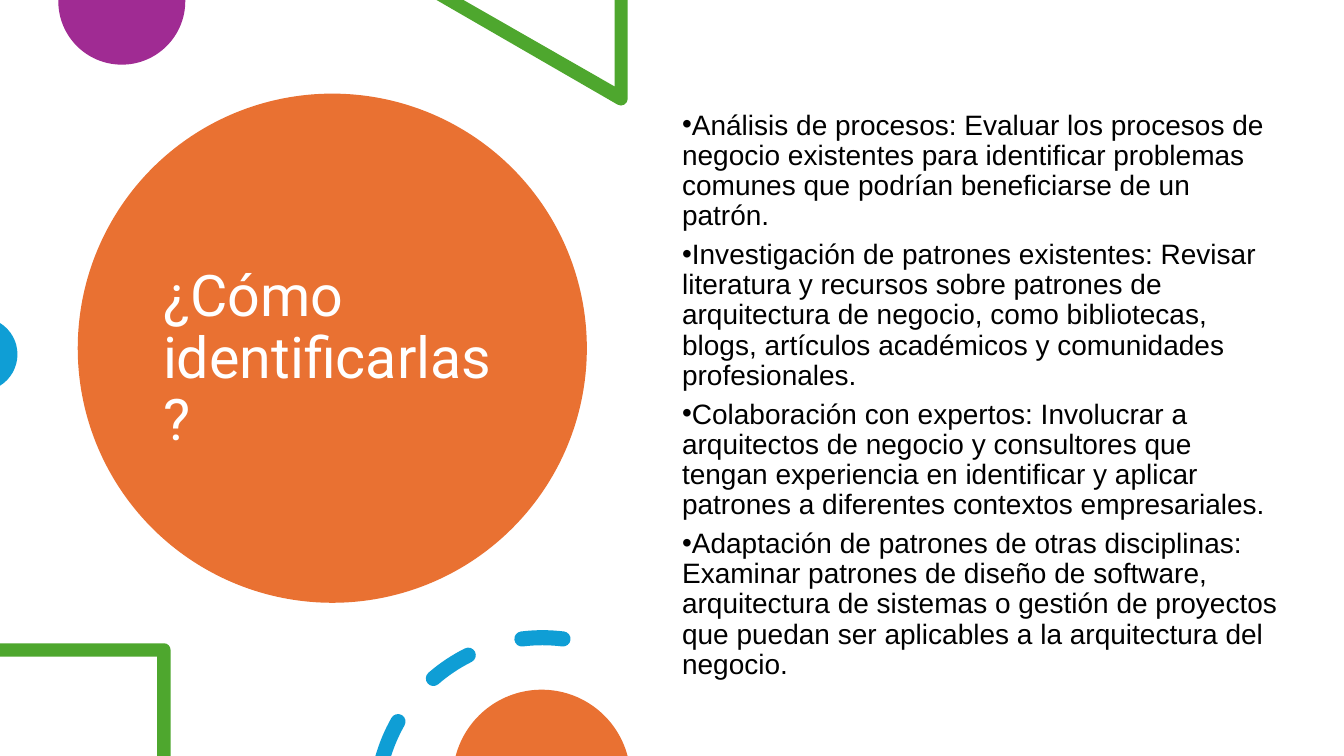
"""Build a slide on how to identify business architecture patterns."""
from math import cos, radians, sin, tan

from lxml import etree
from pptx import Presentation
from pptx import util as u
from pptx.dml.color import RGBColor
from pptx.enum import shapes, text
from pptx.oxml.ns import qn

ORANGE, PURPLE, GREEN, BLUE = "E97132", "A02B93", "4EA72E", "0F9ED5"


def paint(fill, colour):
    fill.solid()
    fill.fore_color.rgb = RGBColor.from_string(colour)


def arc(x, y, radius, start, end, pieces=1):
    sweep = radians(end - start) / pieces
    pull = 4 / 3 * tan(sweep / 4)
    steps = [(x + radius * cos(radians(start)), y + radius * sin(radians(start)))]
    for piece in range(pieces):
        a = radians(start) + piece * sweep
        b = a + sweep
        steps.append((x + radius * (cos(a) - pull * sin(a)), y + radius * (sin(a) + pull * cos(a)),
                      x + radius * (cos(b) + pull * sin(b)), y + radius * (sin(b) - pull * cos(b)),
                      x + radius * cos(b), y + radius * sin(b)))
    return steps


deck = Presentation()
deck.slide_width, deck.slide_height = u.Cm(33.87), u.Cm(19.05)
page = deck.slides.add_slide(deck.slide_layouts[6])

disc = page.shapes.add_shape(shapes.MSO_SHAPE.OVAL, u.Cm(1.96), u.Cm(2.36), u.Cm(12.83), u.Cm(12.83))
disc.shadow.inherit = False
disc.line.fill.background()
paint(disc.fill, ORANGE)

ring_x, ring_y, ring_radius, half_width = 13.67, 20.26, 4.19, 0.19
outer, inner = ring_radius + half_width, ring_radius - half_width
dashes = []
for start, end, inner_start in [(196.04, 209.7, 197.6), (229, 243.5, 229), (262.9, 277.1, 262.9)]:
    head_x, head_y = arc(ring_x, ring_y, ring_radius, end, end)[0]
    tail_x, tail_y = arc(ring_x, ring_y, ring_radius, start, start)[0]
    dash = arc(ring_x, ring_y, outer, start, end)
    dash += arc(head_x, head_y, half_width, end, end + 180, 2)[1:]
    dash += arc(ring_x, ring_y, inner, end, inner_start)[1:]
    if start == inner_start:
        dash += arc(tail_x, tail_y, half_width, start + 180, start + 360, 2)[1:]
    dashes.append(dash)

triangle = [(15.82, 0), (15.49, 0), (15.49, 2.18), (11.68, 0), (11, 0)]
triangle += arc(15.65, 2.49, 0.17, 120, 0, 2)
corner = [(0, 16.21)] + arc(4.13, 16.38, 0.17, -90, 0)
corner += [(4.3, 19.05), (3.96, 19.05), (3.96, 16.55), (0, 16.55)]

decorations = [
    (PURPLE, [[(4.67, 0), (1.47, 0)] + arc(3.07, 0.03, 1.6, 180, 0, 2)]),
    (GREEN, [triangle]),
    (BLUE, [arc(-0.49, 8.93, 0.93, -58, 58, 2)]),
    (GREEN, [corner]),
    (BLUE, dashes),
    (ORANGE, [arc(13.65, 19.62, 2.24, 194.7, 345.3, 2)]),
]
for colour, outlines in decorations:
    builder = None
    for outline in outlines:
        points = [(u.Cm(step[i]), u.Cm(step[i + 1])) for step in outline for i in range(0, len(step), 2)]
        if builder is None:
            builder = page.shapes.build_freeform(*points[0])
        else:
            builder.move_to(*points[0])
        builder.add_line_segments(points[1:], close=True)
    decoration = builder.convert_to_shape()
    decoration.shadow.inherit = False
    decoration.line.fill.background()
    paint(decoration.fill, colour)
    nodes = iter(list(decoration._element.iter(qn("a:lnTo"))))
    for outline in outlines:
        for step in outline[1:]:
            curve, *controls = [next(nodes) for _ in range(len(step) // 2)]
            if controls:
                curve.tag = qn("a:cubicBezTo")
            for control in controls:
                curve.append(control[0])
                control.getparent().remove(control)

tips = [
    "Análisis de procesos: Evaluar los procesos de negocio existentes para identificar problemas comunes que podrían beneficiarse de un patrón.",
    "Investigación de patrones existentes: Revisar literatura y recursos sobre patrones de arquitectura de negocio, como bibliotecas, blogs, artículos académicos y comunidades profesionales.",
    "Colaboración con expertos: Involucrar a arquitectos de negocio y consultores que tengan experiencia en identificar y aplicar patrones a diferentes contextos empresariales.",
    "Adaptación de patrones de otras disciplinas: Examinar patrones de diseño de software, arquitectura de sistemas o gestión de proyectos que puedan ser aplicables a la arquitectura del negocio.",
]
blocks = [
    ((3.86, 3.43, 8.99, 11.3), ["¿Cómo identificarlas?"], text.MSO_ANCHOR.MIDDLE,
     {"name": "Roboto", "size": u.Pt(41)}, "FFFFFF", {"line_spacing": 0.9}, None),
    ((16.94, 2.67, 15.6, 15.11), tips, text.MSO_ANCHOR.TOP,
     {"name": "Arial", "size": u.Pt(20)}, "000000",
     {"line_spacing": 0.9, "space_after": u.Pt(6)}, "•"),
]
for place, lines, anchor, font, colour, spacing, bullet in blocks:
    box = page.shapes.add_textbox(*[u.Cm(length) for length in place])
    frame = box.text_frame
    frame.word_wrap = True
    frame.vertical_anchor = anchor
    for number, line in enumerate(lines):
        para = frame.add_paragraph() if number else frame.paragraphs[0]
        span = para.add_run()
        span.text = line
        for target, values in [(span.font, font), (para, spacing)]:
            for key, value in values.items():
                setattr(target, key, value)
        paint(span.font.fill, colour)
        if bullet:
            properties = para._p.get_or_add_pPr()
            properties.set("marL", "0")
            properties.set("indent", str(-u.Cm(0.64)))
            etree.SubElement(properties, qn("a:buFont")).set("typeface", "Arial")
            etree.SubElement(properties, qn("a:buChar")).set("char", bullet)

deck.save("out.pptx")
